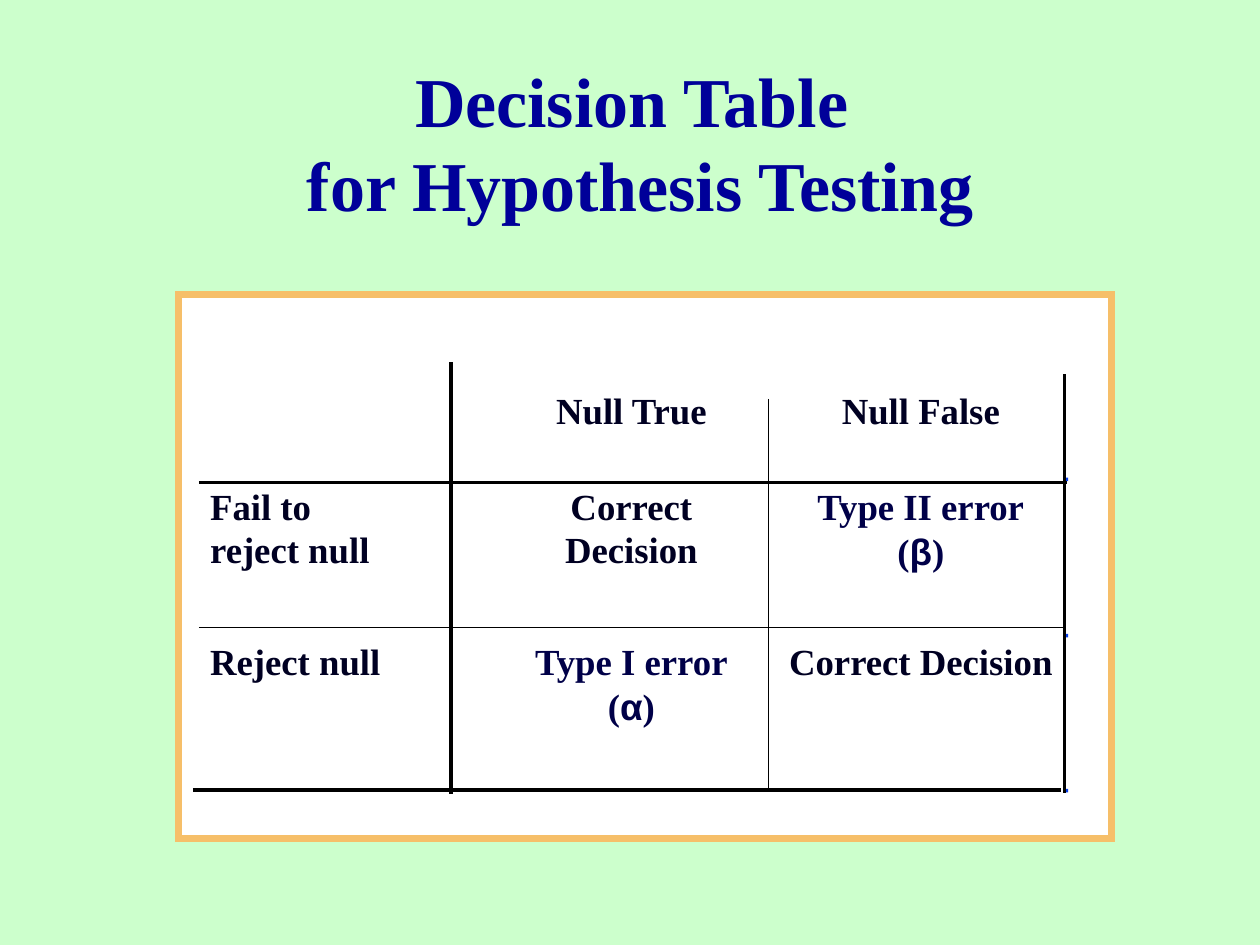
import pptx
import pptx.util
import pptx.dml.color
import pptx.enum.shapes
import pptx.enum.text
import pptx.oxml.ns
import lxml.etree

Pt = pptx.util.Pt
RGBColor = pptx.dml.color.RGBColor
MINT = RGBColor(0xCC, 0xFF, 0xCC)
TITLE_BLUE = RGBColor(0x00, 0x00, 0x99)
WHITE = RGBColor(0xFF, 0xFF, 0xFF)
ORANGE = RGBColor(0xF6, 0xBF, 0x69)
BLUE = RGBColor(0x06, 0x3D, 0xE8)
BLACK = RGBColor(0x00, 0x00, 0x00)
INK = RGBColor(0x00, 0x00, 0x22)
ERROR_INK = RGBColor(0x00, 0x00, 0x48)
SERIF = "Times New Roman"
SANS = "Arial"

LABEL_HEIGHT = 32.4
ROW_LABEL_LEFT = 10.8
TRUE_CENTER, FALSE_CENTER = 258.6, 424
HEADER_TOP, FAIL_TOP, REJECT_TOP = 50.2, 104.9, 193.5
LINE_STEP, SYMBOL_STEP = 24.5, 25.5

ROW_LABELS = [
    ("Fail to", FAIL_TOP, 76),
    ("reject null", FAIL_TOP + LINE_STEP, 110),
    ("Reject null", REJECT_TOP, 116),
]
CELL_LABELS = [
    ("Null True", TRUE_CENTER, HEADER_TOP, 106, INK),
    ("Null False", FALSE_CENTER, HEADER_TOP, 112, INK),
    ("Correct", TRUE_CENTER, FAIL_TOP, 88, INK),
    ("Decision", TRUE_CENTER, FAIL_TOP + LINE_STEP, 94, INK),
    ("Type II error", FALSE_CENTER, FAIL_TOP, 138, ERROR_INK),
    ("(β)", FALSE_CENTER, FAIL_TOP + SYMBOL_STEP, 52, ERROR_INK),
    ("Type I error", TRUE_CENTER, REJECT_TOP, 130, ERROR_INK),
    ("(α)", TRUE_CENTER, REJECT_TOP + SYMBOL_STEP, 52, ERROR_INK),
    ("Correct Decision", FALSE_CENTER, REJECT_TOP, 170, INK),
]
VERTICAL_RULES = [(155.5, 39, 286, 2), (337, 60, 284.5, 1), (506.2, 46, 285, 2)]
HORIZONTAL_RULES = [(107.8, 11.5, 507.5, 2), (283.5, 8, 504, 2), (190.6, 11.5, 507, 1)]
CORNER_TOPS = [104.9, 194.2, 282.8]


def style_run(run, size, color, font=SERIF):
    run.font.name = font
    run.font.size = Pt(size)
    run.font.bold = True
    run.font.color.rgb = color


def add_title(slide, left, top, width, height):
    title = slide.shapes.title
    title.left, title.top = Pt(left), Pt(top)
    title.width, title.height = Pt(width), Pt(height)
    frame = title.text_frame
    frame.text = "Decision Table \vfor Hypothesis Testing"
    frame.auto_size = pptx.enum.text.MSO_AUTO_SIZE.NONE
    frame.vertical_anchor = pptx.enum.text.MSO_ANCHOR.MIDDLE
    paragraph = frame.paragraphs[0]
    paragraph.alignment = pptx.enum.text.PP_ALIGN.CENTER
    for run in paragraph.runs:
        style_run(run, 40, TITLE_BLUE)


def add_box(slide, left, top, width, height, fill):
    shape = slide.shapes.add_shape(
        pptx.enum.shapes.MSO_SHAPE.RECTANGLE, Pt(left), Pt(top), Pt(width), Pt(height))
    shape.shadow.inherit = False
    shape.fill.solid()
    shape.fill.fore_color.rgb = fill
    shape.line.fill.background()
    return shape


def add_label(slide, text, left, top, width, color, alignment):
    box = slide.shapes.add_textbox(Pt(left), Pt(top), Pt(width), Pt(LABEL_HEIGHT))
    frame = box.text_frame
    frame.word_wrap = False
    paragraph = frame.paragraphs[0]
    paragraph.alignment = alignment
    pieces = list(text) if text.startswith("(") else [text]
    for piece in pieces:
        run = paragraph.add_run()
        run.text = piece
        style_run(run, 21, color, SANS if piece in "αβ" else SERIF)


def add_rule(slide, start, end, weight):
    line = slide.shapes.add_connector(
        pptx.enum.shapes.MSO_CONNECTOR.STRAIGHT,
        Pt(start[0]), Pt(start[1]), Pt(end[0]), Pt(end[1]))
    line.line.color.rgb = BLACK
    line.line.width = Pt(weight)
    properties = line._element.spPr
    lxml.etree.SubElement(properties, pptx.oxml.ns.qn("a:effectLst"))


def add_decision_grid(slide, left, top, width, height):
    panel = add_box(slide, left, top, width, height, WHITE)
    panel.line.color.rgb = ORANGE
    panel.line.width = Pt(4)
    outline = panel._element.spPr.find(pptx.oxml.ns.qn("a:ln"))
    lxml.etree.SubElement(outline, pptx.oxml.ns.qn("a:miter"), lim="800000")
    align = pptx.enum.text.PP_ALIGN
    for corner_top in CORNER_TOPS:
        add_box(slide, left + 506.2, top + corner_top, 2, 2, BLUE)
    for text, y, label_width in ROW_LABELS:
        add_label(slide, text, left + ROW_LABEL_LEFT, top + y, label_width, INK, align.LEFT)
    for text, center, y, label_width, color in CELL_LABELS:
        label_left = left + center - label_width / 2
        add_label(slide, text, label_left, top + y, label_width, color, align.CENTER)
    for x, start, end, weight in VERTICAL_RULES:
        add_rule(slide, (left + x, top + start), (left + x, top + end), weight)
    for y, start, end, weight in HORIZONTAL_RULES:
        add_rule(slide, (left + start, top + y), (left + end, top + y), weight)


def main():
    presentation = pptx.Presentation()
    presentation.slide_width, presentation.slide_height = Pt(720), Pt(540)
    slide = presentation.slides.add_slide(presentation.slide_layouts[5])
    slide.background.fill.solid()
    slide.background.fill.fore_color.rgb = MINT
    add_title(slide, 36, 36, 660, 90)
    add_decision_grid(slide, 102.2, 168, 532.8, 311)
    presentation.save("out.pptx")


if __name__ == "__main__":
    main()
